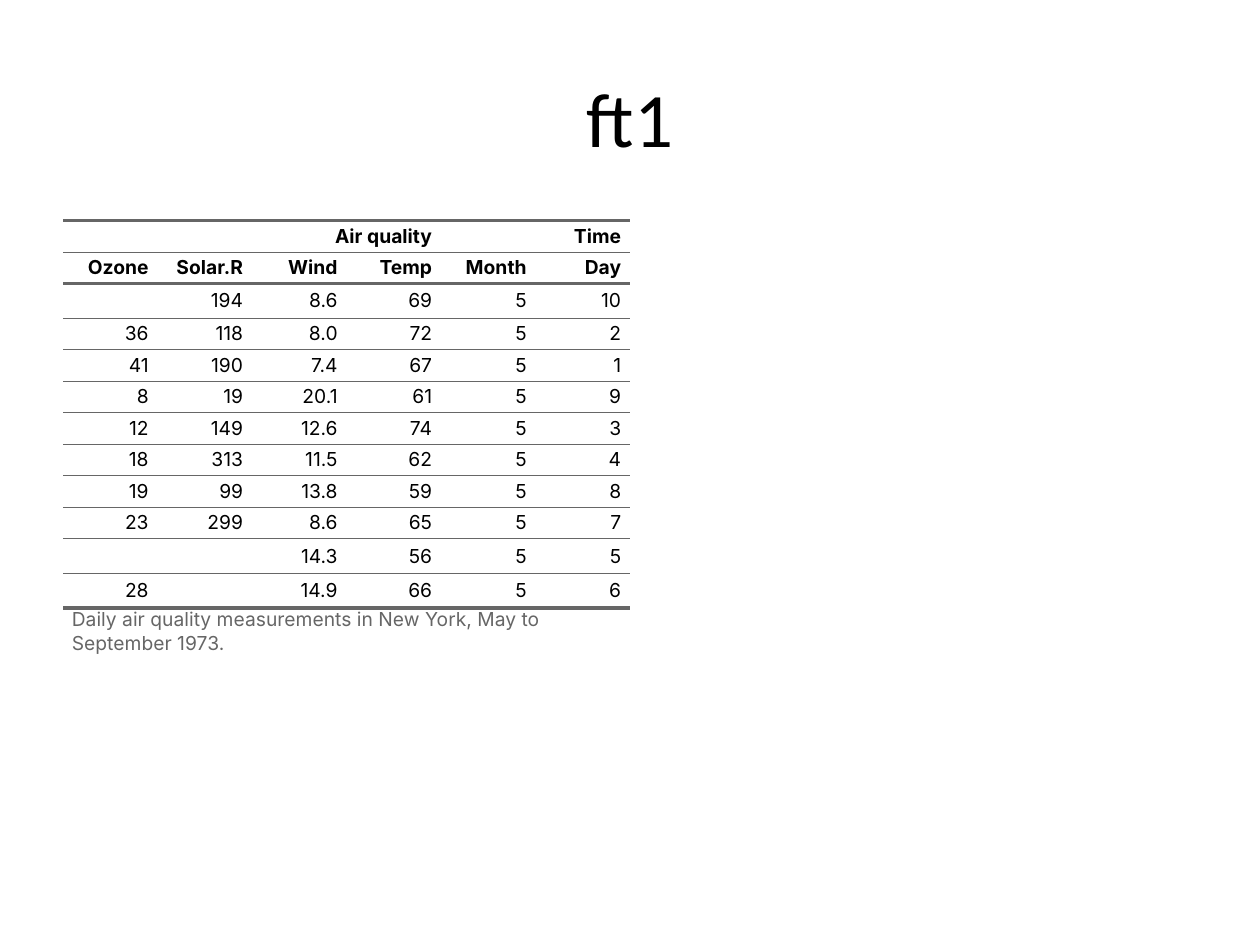
"""Build a slide with a bordered table of daily air quality measurements."""
from lxml import etree
from pptx import Presentation
from pptx.dml.color import RGBColor
from pptx.enum.text import MSO_ANCHOR, PP_ALIGN
from pptx.oxml.ns import qn
from pptx.util import Inches, Pt

LEFT, CENTER, RIGHT = PP_ALIGN.LEFT, PP_ALIGN.CENTER, PP_ALIGN.RIGHT
MIDDLE = MSO_ANCHOR.MIDDLE
BLACK, GRAY = "000000", "666666"
THIN, THICK = 0.5, 2

TITLE = "ft1"
GROUPS = [("Air quality", 0, 3), ("Time", 4, 5)]
HEADERS = ["Ozone", "Solar.R", "Wind", "Temp", "Month", "Day"]
MEASUREMENTS = [
    ("", "194", "8.6", "69", "5", "10"),
    ("36", "118", "8.0", "72", "5", "2"),
    ("41", "190", "7.4", "67", "5", "1"),
    ("8", "19", "20.1", "61", "5", "9"),
    ("12", "149", "12.6", "74", "5", "3"),
    ("18", "313", "11.5", "62", "5", "4"),
    ("19", "99", "13.8", "59", "5", "8"),
    ("23", "299", "8.6", "65", "5", "7"),
    ("", "", "14.3", "56", "5", "5"),
    ("28", "", "14.9", "66", "5", "6"),
]
FOOTNOTE = "Daily air quality measurements in New York, May to September 1973."


def color(value):
    return RGBColor.from_string(value)


def format_text(para, size, font, hue, align, bold=False):
    para.alignment = align
    for span in para.runs:
        span.font.size = Pt(size)
        span.font.name = font
        span.font.bold = bold
        span.font.color.rgb = color(hue)


def set_borders(cell, top, bottom):
    cell.fill.background()
    properties = cell._tc.get_or_add_tcPr()
    sides = [("a:lnL", 0), ("a:lnR", 0), ("a:lnT", top), ("a:lnB", bottom)]
    for position, (tag, width) in enumerate(sides):
        line = etree.Element(qn(tag), w=str(Pt(width)))
        if width:
            fill = etree.SubElement(line, qn("a:solidFill"))
            etree.SubElement(fill, qn("a:srgbClr"), val=GRAY)
        else:
            etree.SubElement(line, qn("a:noFill"))
        properties.insert(position, line)


def fill_cell(cell, text, hue, align, bold):
    cell.vertical_anchor = MIDDLE
    cell.margin_left = cell.margin_right = 0
    cell.margin_top = cell.margin_bottom = 0 if text else Inches(0.05)
    cell.text_frame.text = text
    para = cell.text_frame.paragraphs[0]
    para.space_before = para.space_after = Pt(5)
    indent = para._p.get_or_add_pPr()
    indent.set("marL", str(Inches(0.07)))
    indent.set("marR", str(Inches(0.07)))
    format_text(para, 11, "Inter", hue, align, bold)
    if not text:
        etree.SubElement(para._p, qn("a:endParaRPr"), sz="1050")


deck = Presentation()
deck.slide_width, deck.slide_height = Inches(10), Inches(7.5)
page = deck.slides.add_slide(deck.slide_layouts[6])

title_box = page.shapes.add_textbox(Inches(0.5), Inches(0.3), Inches(9), Inches(1.25))
title_box.text_frame.word_wrap = True
title_box.text_frame.vertical_anchor = MIDDLE
title_box.text_frame.text = TITLE
format_text(title_box.text_frame.paragraphs[0], 44, "Calibri", BLACK, CENTER)

group_row = [""] * len(HEADERS)
for label, first, last in GROUPS:
    group_row[first] = label
footer_row = [FOOTNOTE] + [""] * (len(HEADERS) - 1)
rows = [group_row, HEADERS, *MEASUREMENTS, footer_row]
footer = len(rows) - 1
rules = [THICK, THIN, THICK] + [THIN] * (len(MEASUREMENTS) - 1) + [THICK, 0]

frame = page.shapes.add_table(len(rows), len(HEADERS), Inches(0.5), Inches(1.75),
                              Inches(4.5), Inches(3.25))
table = frame.table
table.first_row = table.horz_banding = False
for column in table.columns:
    column.width = Inches(0.75)
for row in table.rows:
    row.height = Inches(0.25)
frame.width, frame.height = Inches(9), Inches(4.95)

for label, first, last in GROUPS:
    table.cell(0, first).merge(table.cell(0, last))
table.cell(footer, 0).merge(table.cell(footer, len(HEADERS) - 1))

for row_index, values in enumerate(rows):
    hue, align = (GRAY, LEFT) if row_index == footer else (BLACK, RIGHT)
    for column_index, value in enumerate(values):
        cell = table.cell(row_index, column_index)
        fill_cell(cell, value, hue, align, row_index < 2)
        set_borders(cell, rules[row_index], rules[row_index + 1])

deck.save("out.pptx")
